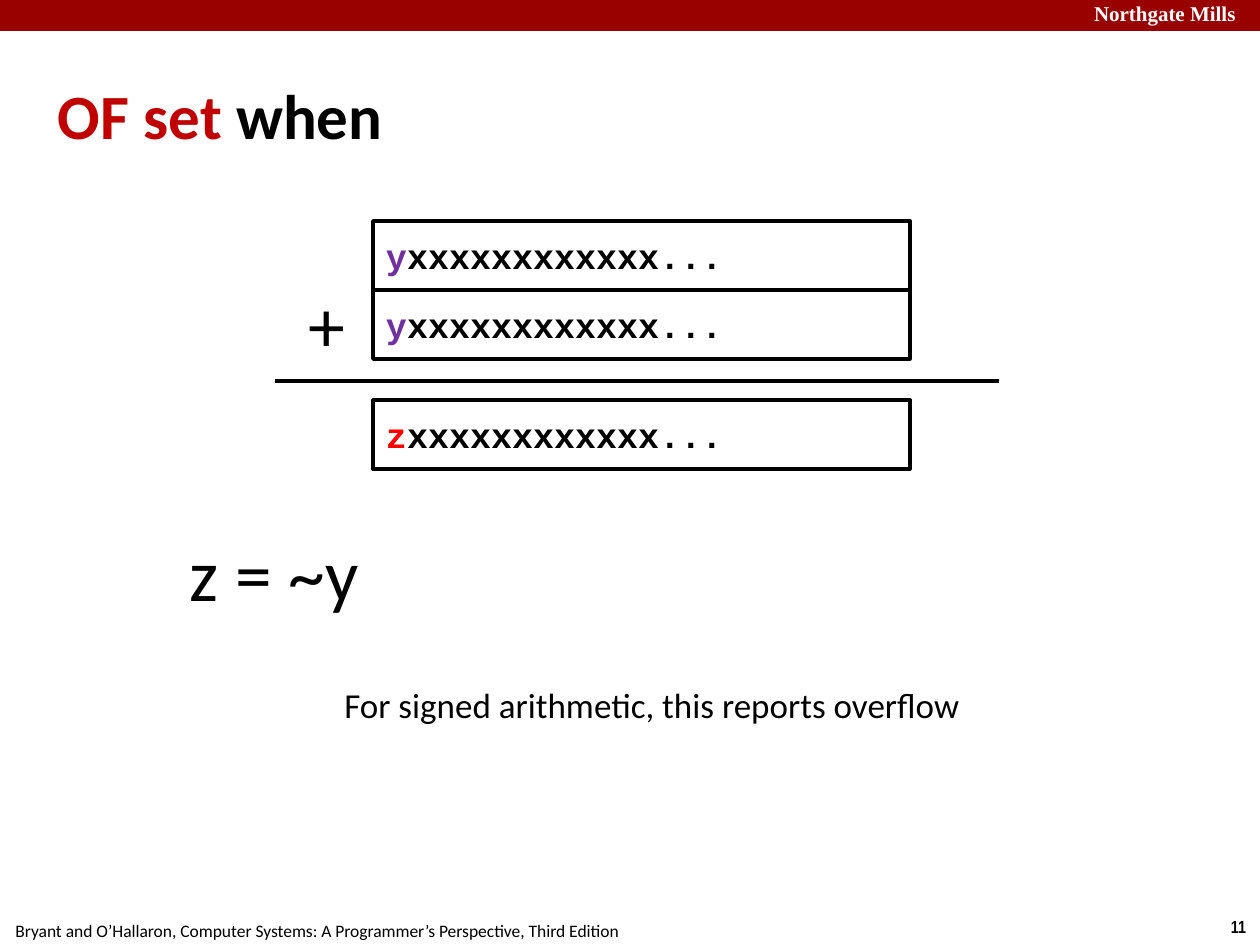
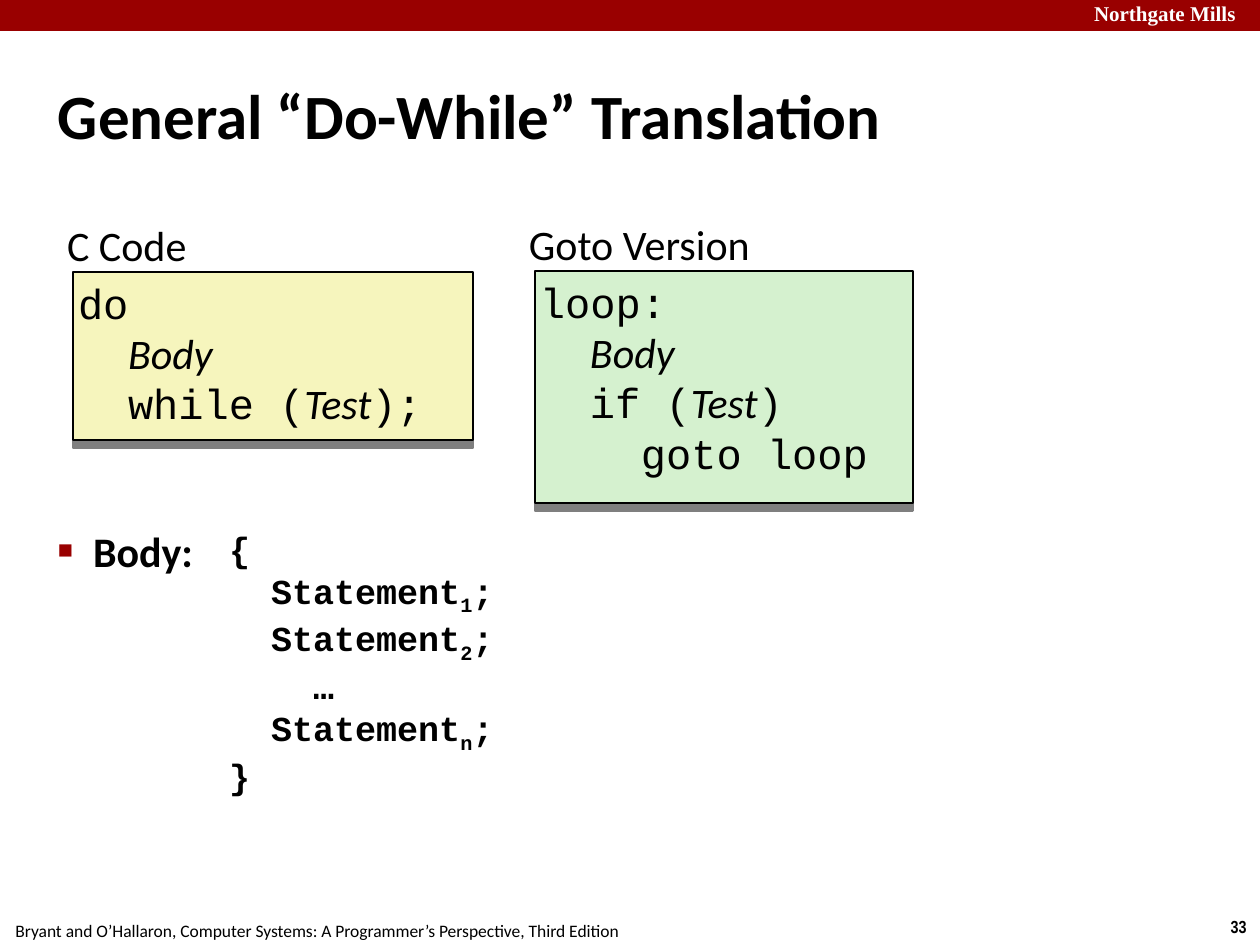
from lxml.etree import SubElement
from pptx import Presentation
from pptx.dml.color import RGBColor
from pptx.enum.shapes import MSO_CONNECTOR, MSO_SHAPE
from pptx.enum.text import MSO_ANCHOR, MSO_AUTO_SIZE, PP_ALIGN
from pptx.oxml.ns import qn
from pptx.util import Emu, Pt

PIXELS_PER_INCH = 126
COLORS = {
    "black": "000000",
    "white": "FFFFFF",
    "band": "990000",
    "flag": "C00000",
    "operand": "7030A0",
    "result": "FF0000",
    "c_code": "F6F5BD",
    "goto_code": "D5F1CF",
}
SANS = "Calibri"
CODE = "Courier New"
TIGHT = (5, 5)
NORMAL = (13, 6)
ITALIC = {"font": SANS, "italic": True}
SUBSCRIPT = {"baseline": -25000}


def px(length):
    return Emu(round(length * 914400 / PIXELS_PER_INCH))


def color(name):
    return RGBColor.from_string(COLORS[name])


def format_run(run, font=SANS, size=20, ink="black", bold=False, italic=False, baseline=None):
    run.font.name = font
    run.font.size = Pt(size)
    run.font.bold = bold
    run.font.italic = italic
    run.font.color.rgb = color(ink)
    if baseline is not None:
        run.font._element.set("baseline", str(baseline))


def write(shape, lines, align=PP_ALIGN.LEFT, anchor=MSO_ANCHOR.TOP, insets=NORMAL, wrap=True, **style):
    """Each line is (indent, piece, ...); a piece is a string or (string, style changes)."""
    frame = shape.text_frame
    frame.word_wrap = wrap
    frame.auto_size = MSO_AUTO_SIZE.NONE
    frame.vertical_anchor = anchor
    frame.margin_left = frame.margin_right = px(insets[0])
    frame.margin_top = frame.margin_bottom = px(insets[1])
    for index, (indent, *pieces) in enumerate(lines):
        paragraph = frame.add_paragraph() if index else frame.paragraphs[0]
        paragraph.alignment = align
        if indent:
            paragraph._p.get_or_add_pPr().set("marL", str(px(indent)))
        for piece in pieces:
            text, changes = (piece, {}) if isinstance(piece, str) else piece
            run = paragraph.add_run()
            run.text = text
            format_run(run, **{**style, **changes})


def add_text(slide, box, lines, **options):
    shape = slide.shapes.add_textbox(*map(px, box))
    write(shape, lines, **options)
    return shape


def add_label(slide, box, text, **options):
    return add_text(slide, box, [(0, text)], align=PP_ALIGN.CENTER, wrap=False, **options)


def add_box(slide, box, fill=None, line_width=None):
    shape = slide.shapes.add_shape(MSO_SHAPE.RECTANGLE, *map(px, box))
    shape.shadow.inherit = False
    if fill:
        shape.fill.solid()
        shape.fill.fore_color.rgb = color(fill)
    else:
        shape.fill.background()
    if line_width:
        shape.line.color.rgb = color("black")
        shape.line.width = Pt(line_width)
    else:
        shape.line.fill.background()
    return shape


def add_drop_shadow(shape):
    effects = shape._element.spPr.find(qn("a:effectLst"))
    shadow = SubElement(effects, qn("a:outerShdw"), blurRad="0", dist=str(px(8)),
                        dir="5400000", algn="t", rotWithShape="0")
    shadow_color = SubElement(shadow, qn("a:srgbClr"), val=COLORS["black"])
    SubElement(shadow_color, qn("a:alpha"), val="50000")


def add_rule(slide, left, right, y):
    rule = slide.shapes.add_connector(MSO_CONNECTOR.STRAIGHT, px(left), px(y), px(right), px(y))
    rule.line.color.rgb = color("black")
    rule.line.width = Pt(2)
    SubElement(rule._element.spPr, qn("a:effectLst"))


def add_bit_row(slide, top, sign, ink):
    row = add_box(slide, (373, top, 537, 69), line_width=2)
    write(row, [(0, (sign, {"ink": ink}), "xxxxxxxxxxxx...")],
          anchor=MSO_ANCHOR.MIDDLE, font=CODE, bold=True)


def add_code_panel(slide, box, heading, fill, lines):
    left, top, width, height = box
    add_text(slide, (left - 11, top - 57, width, 62), [(0, heading)], insets=TIGHT, size=24)
    panel = add_box(slide, box, fill, line_width=1)
    add_drop_shadow(panel)
    write(panel, lines, insets=TIGHT, font=CODE, size=24)


def add_bullet(paragraph, hanging):
    properties = paragraph._p.get_or_add_pPr()
    properties.set("marL", str(px(hanging)))
    properties.set("indent", str(-px(hanging)))
    bullet_color = SubElement(properties, qn("a:buClr"))
    SubElement(bullet_color, qn("a:srgbClr"), val=COLORS["band"])
    SubElement(properties, qn("a:buSzPct"), val="60000")
    SubElement(properties, qn("a:buFont"), typeface="Arial")
    SubElement(properties, qn("a:buChar"), char="■")


def add_slide(presentation, number, *title_pieces):
    slide = presentation.slides.add_slide(presentation.slide_layouts[5])
    add_label(slide, (1217, 910, 43, 34), str(number), font="Arial Narrow", size=10, bold=True)
    add_label(slide, (-3, 914, 640, 34),
              "Bryant and O’Hallaron, Computer Systems: A Programmer’s Perspective, Third Edition",
              size=10)
    add_box(slide, (0, 0, 1260, 31), "band")
    add_text(slide, (1089, -4, 181, 35), [(0, "Northgate Mills")], insets=TIGHT,
             font="Times New Roman", size=12, ink="white", bold=True)
    title = slide.shapes.title
    title.left, title.top, title.width, title.height = map(px, (53, 35, 1155, 158))
    write(title, [(0, *title_pieces)], anchor=MSO_ANCHOR.MIDDLE, insets=TIGHT, size=36, bold=True)
    return slide


def build_overflow_slide(presentation):
    slide = add_slide(presentation, 11, ("OF set ", {"ink": "flag"}), "when")
    for top, sign, ink in ((221, "y", "operand"), (290, "y", "operand"), (400, "z", "result")):
        add_bit_row(slide, top, sign, ink)
    add_rule(slide, 275, 999, 381)
    add_label(slide, (295, 273, 63, 102), "+", size=42)
    add_label(slide, (156, 522, 236, 102), "z = ~y", size=42)
    add_label(slide, (328, 677, 648, 55), "For signed arithmetic, this reports overflow")


def build_do_while_slide(presentation):
    slide = add_slide(presentation, 33, "General “Do-While” Translation")
    body = ("Body", ITALIC)
    test = ("Test", ITALIC)
    add_code_panel(slide, (73, 272, 400, 168), "C Code", "c_code",
                   [(0, "do"), (50, body), (50, "while (", test, ");")])
    add_code_panel(slide, (535, 271, 378, 232), "Goto Version", "goto_code",
                   [(0, "loop:"), (50, body), (50, "if (", test, ")"), (101, "goto loop")])
    label = add_text(slide, (53, 520, 160, 62), [(0, "Body:")], insets=TIGHT, size=24, bold=True)
    add_bullet(label.text_frame.paragraphs[0], 35)
    first, second, last = ((42, "Statement", (mark, SUBSCRIPT), ";") for mark in "12n")
    add_text(slide, (224, 522, 306, 311),
             [(0, "{"), first, second, (84, "…"), last, (0, "}")],
             insets=TIGHT, font=CODE, bold=True)


def main():
    presentation = Presentation()
    presentation.slide_width = px(1260)
    presentation.slide_height = px(945)
    build_overflow_slide(presentation)
    build_do_while_slide(presentation)
    presentation.save("out.pptx")


if __name__ == "__main__":
    main()
